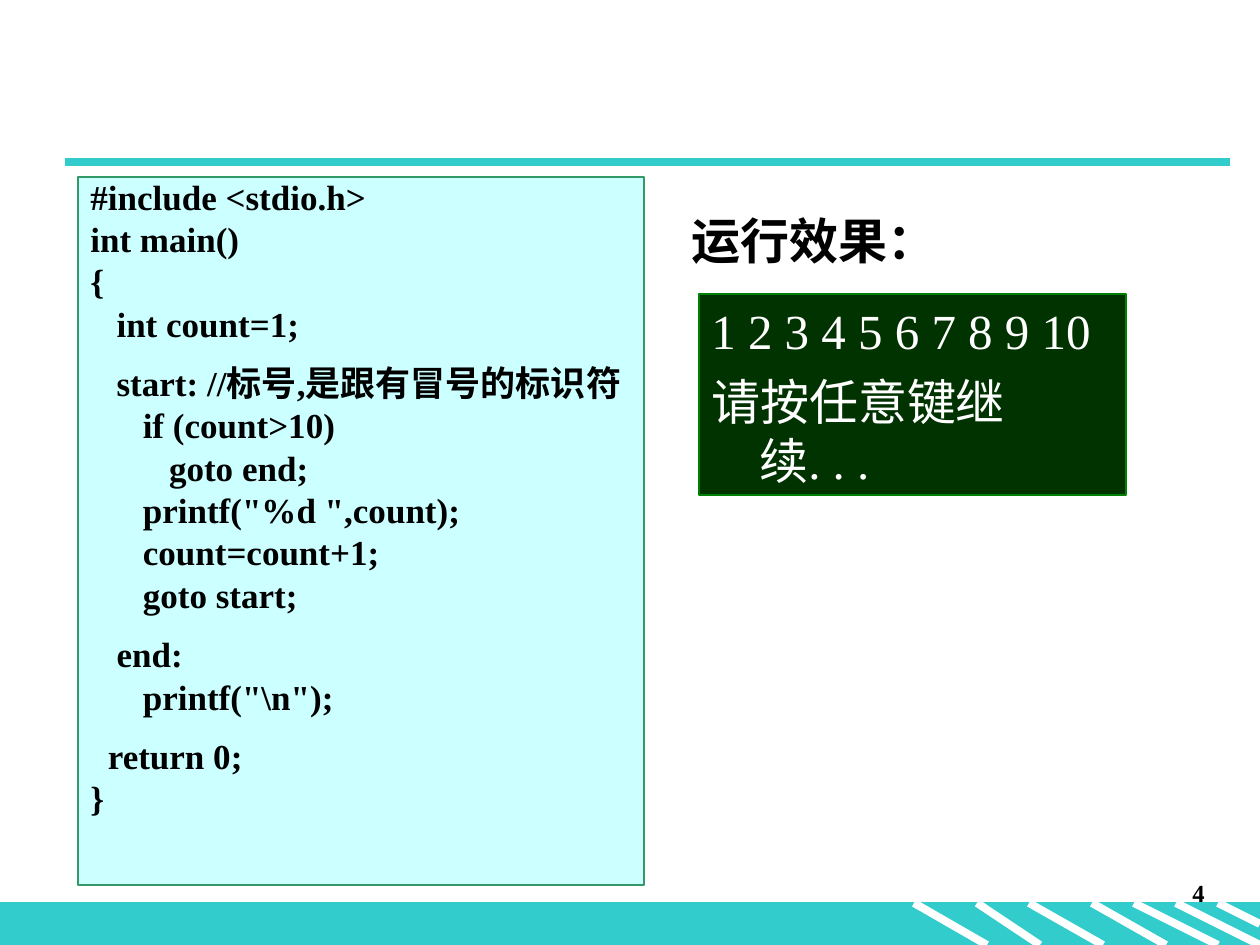
"""Build the goto-loop slide: a C listing beside its console output."""
from dataclasses import dataclass
from typing import Optional

from lxml import etree
from pptx import Presentation
from pptx import util as u
from pptx.dml.color import RGBColor
from pptx.enum import shapes, text
from pptx.oxml.ns import qn

EMU_PER_PX = 914400 / 126
WIDTH, HEIGHT = 1260, 945
BAND_TOP = 903


@dataclass(frozen=True)
class Theme:
    font: str = "Times New Roman"
    teal: str = "33CCCC"
    white: str = "FFFFFF"
    ink: str = "000000"
    code_fill: str = "CCFFFF"
    code_line: str = "339966"
    console_fill: str = "003300"
    console_line: str = "008000"
    code_size: int = 20
    large_size: int = 28
    number_size: int = 14
    thin: float = 0.75
    thick: float = 4.5


THEME = Theme()


@dataclass(frozen=True)
class Panel:
    left: int
    top: int
    width: int
    height: int
    fill: Optional[str] = None
    line: Optional[str] = None


@dataclass(frozen=True)
class Style:
    size: int
    color: str = THEME.ink
    bold: bool = True
    space: float = 0
    line_spacing: float = 1.0
    hanging: int = 48
    align: text.PP_ALIGN = text.PP_ALIGN.LEFT


@dataclass(frozen=True)
class Line:
    words: str
    extra: float = 0


@dataclass(frozen=True)
class Stroke:
    x1: int
    y1: int
    x2: int
    y2: int
    color: str


BLOCK_GAP = 9.7
CODE = [
    Line("#include <stdio.h>"),
    Line("int main()"),
    Line("{"),
    Line("   int count=1;"),
    Line("   start: //标号,是跟有冒号的标识符", BLOCK_GAP),
    Line("      if (count>10)"),
    Line("         goto end;"),
    Line('      printf("%d ",count);'),
    Line("      count=count+1;"),
    Line("      goto start;"),
    Line("   end:", BLOCK_GAP),
    Line('      printf("\\n");'),
    Line("  return 0;", BLOCK_GAP),
    Line("}"),
]
CONSOLE = [Line("1 2 3 4 5 6 7 8 9 10"), Line("请按任意键继续. . .")]

STRIPES = [
    Stroke(start, BAND_TOP, end, bottom, THEME.white)
    for start, end, bottom in [
        (914, 987, HEIGHT), (977, 1040, HEIGHT), (1029, 1103, HEIGHT),
        (1092, 1166, HEIGHT), (1134, 1218, HEIGHT), (1176, WIDTH, HEIGHT),
        (1218, WIDTH, 924),
    ]
]


def px(value: int) -> u.Emu:
    """Turn whole pixels into EMU."""
    return u.Emu(round(value * EMU_PER_PX))


def rgb(value: str) -> RGBColor:
    """Turn a hex string into a colour."""
    return RGBColor.from_string(value)


def add_panel(slide, panel: Panel):
    """Add a filled rectangle, or a text box when there is no fill."""
    place = [px(v) for v in (panel.left, panel.top, panel.width, panel.height)]
    if panel.fill is None:
        return slide.shapes.add_textbox(*place)
    box = slide.shapes.add_shape(shapes.MSO_SHAPE.RECTANGLE, *place)
    box.shadow.inherit = False
    box.fill.solid()
    box.fill.fore_color.rgb = rgb(panel.fill)
    box.line.color.rgb = rgb(panel.line)
    box.line.width = u.Pt(THEME.thin)
    return box


def add_text(slide, panel: Panel, lines: list[Line], style: Style) -> None:
    """Add a panel and write one paragraph per line in it."""
    frame = add_panel(slide, panel).text_frame
    frame.word_wrap = True
    frame.auto_size = text.MSO_AUTO_SIZE.NONE
    frame.vertical_anchor = text.MSO_ANCHOR.TOP
    for index, line in enumerate(lines):
        para = frame.add_paragraph() if index else frame.paragraphs[0]
        para.alignment = style.align
        para.line_spacing = style.line_spacing
        para.space_before = u.Pt(style.space + line.extra if index else 0)
        properties = para._p.get_or_add_pPr()
        properties.set("marL", str(px(style.hanging)))
        properties.set("indent", str(px(-style.hanging)))
        span = para.add_run()
        span.text = line.words
        span.font.name = THEME.font
        span.font.size = u.Pt(style.size)
        span.font.bold = style.bold
        span.font.color.rgb = rgb(style.color)


def add_stroke(slide, stroke: Stroke) -> None:
    """Add a thick straight line without a shadow."""
    connector = slide.shapes.add_connector(
        shapes.MSO_CONNECTOR.STRAIGHT,
        px(stroke.x1), px(stroke.y1), px(stroke.x2), px(stroke.y2))
    connector.line.color.rgb = rgb(stroke.color)
    connector.line.width = u.Pt(THEME.thick)
    etree.SubElement(connector._element.spPr, qn("a:effectLst"))


def main() -> None:
    """Build and save the deck."""
    deck = Presentation()
    deck.slide_width, deck.slide_height = px(WIDTH), px(HEIGHT)
    page = deck.slides.add_slide(deck.slide_layouts[6])

    add_panel(page, Panel(0, BAND_TOP, WIDTH, HEIGHT - BAND_TOP, THEME.teal, THEME.teal))
    for stroke in [*STRIPES, Stroke(65, 162, 1230, 162, THEME.teal)]:
        add_stroke(page, stroke)

    add_text(page, Panel(955, 872, 262, 63), [Line("4")],
             Style(THEME.number_size, hanging=0, align=text.PP_ALIGN.RIGHT))
    add_text(page, Panel(78, 177, 566, 708, THEME.code_fill, THEME.code_line), CODE,
             Style(THEME.code_size, space=5, line_spacing=0.8))
    add_text(page, Panel(699, 294, 427, 201, THEME.console_fill, THEME.console_line), CONSOLE,
             Style(THEME.large_size, THEME.white, bold=False, space=7))
    add_text(page, Panel(679, 204, 367, 72), [Line("运行效果：")], Style(THEME.large_size))

    deck.save("out.pptx")


if __name__ == "__main__":
    main()
